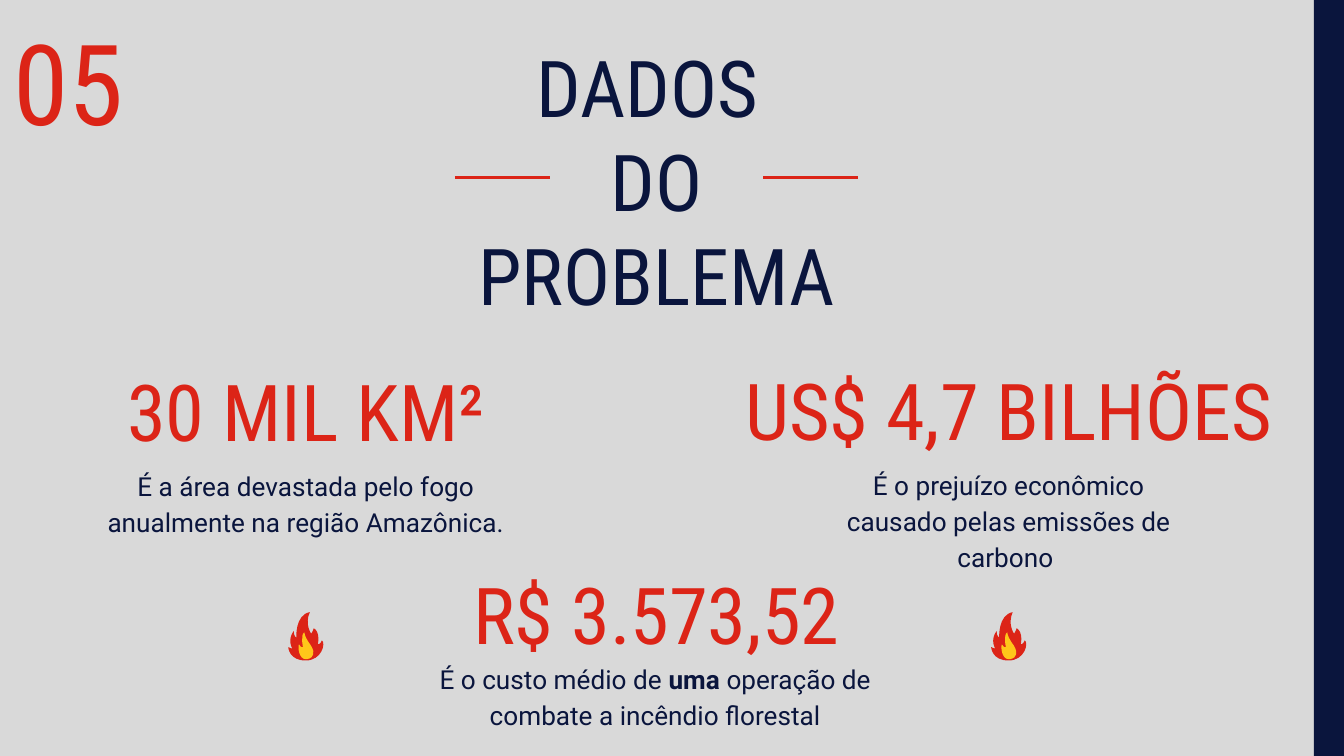
from lxml.etree import SubElement
from pptx import Presentation
from pptx.dml.color import RGBColor
from pptx.enum.shapes import MSO_CONNECTOR as Connector, MSO_SHAPE as Shape
from pptx.enum.text import MSO_ANCHOR as Anchor, PP_ALIGN as Align
from pptx.oxml.ns import qn
from pptx.util import Inches, Pt

COLUMNS, ROWS = 100, 56.25
CELL = Inches(10) // COLUMNS
PANEL_WIDTH = 97.75
RED, NAVY, GREY, YELLOW = "DC2417", "0A153D", "D9D9D9", "FFC61A"
HEADING, BODY = "Roboto Condensed", "Roboto"

FLAME_UNITS = 29, 36
OUTER_FLAME = (0, 0, 29, 36), (17, 0), [
    (6, 2, 7, 19, 7, 19), (7, 19, 5, 18, 5, 14), (0, 21, 4, 27, 4, 27),
    (4, 27, 2, 27, 1, 26), (1, 27, 2, 36, 14, 36), (26, 36, 29, 23, 26, 21),
    (25, 24, 23, 24, 23, 24), (23, 24, 25, 15, 20, 12),
    (19, 15, 18, 16, 18, 16), (18, 16, 13, 9, 17, 0)]
INNER_FLAME = (8, 15, 13, 20), (13, 15), [
    (10, 17, 12, 26, 12, 26), (12, 26, 12, 26, 11, 26), (11, 26, 10, 26, 9, 24),
    (8, 26, 9, 35, 14, 35), (15, 35, 15, 35, 15, 35),
    (21, 34, 20, 29, 19, 27), (18, 24, 14, 21, 13, 15)]


def cells(*counts):
    return [round(count * CELL) for count in counts]


def color(hex_code):
    return RGBColor.from_string(hex_code)


def paint(part, hex_code):
    part.shadow.inherit = False
    part.fill.solid()
    part.fill.fore_color.rgb = color(hex_code)
    part.line.fill.background()


def write(slide, box, paragraphs, font, size, hex_code, align=Align.CENTER, spacing=None):
    frame = slide.shapes.add_textbox(*cells(*box)).text_frame
    frame.word_wrap = True
    frame.vertical_anchor = Anchor.TOP
    frame.margin_left = frame.margin_right = Inches(0.1)
    frame.margin_top = frame.margin_bottom = Inches(0.1)
    for index, runs in enumerate(paragraphs):
        paragraph = frame.paragraphs[0] if index == 0 else frame.add_paragraph()
        paragraph.alignment = align
        if spacing:
            paragraph.line_spacing = spacing
            paragraph.space_after = Pt(16)
        for words, bold in runs:
            run = paragraph.add_run()
            run.text = words
            run.font.name, run.font.size, run.font.bold = font, Pt(size), bold
            run.font.color.rgb = color(hex_code)


def draw_band(slide, box, hex_code):
    paint(slide.shapes.add_shape(Shape.RECTANGLE, *cells(*box)), hex_code)


def draw_title(slide, box):
    left, top, width, height = box
    write(slide, box, [[("DADOS ", False)], [("DO PROBLEMA", False)]], HEADING, 42, NAVY)
    rule_length, rule_inset, rule_y = 7.05, 1.45, top + 11.3
    for start in (left + rule_inset, left + width - rule_inset - rule_length):
        rule = slide.shapes.add_connector(
            Connector.STRAIGHT, *cells(start, rule_y, start + rule_length, rule_y))
        rule.line.color.rgb = color(RED)
        rule.line.width = Pt(1.5)
        SubElement(rule._element.spPr, qn("a:effectLst"))


def draw_statistic(slide, box, figure, figure_height, caption, caption_box):
    left, top, width, height = box
    inset, drop, caption_width = caption_box
    write(slide, (left, top, width, figure_height), [[(figure, False)]], HEADING, 42, RED)
    write(slide, (left + inset, top + drop, caption_width, height - drop),
          [caption], BODY, 14, NAVY, spacing=1.15)


def add_curve(outline_path, command, points):
    segment = SubElement(outline_path, qn(f"a:{command}"))
    for x, y in points:
        SubElement(segment, qn("a:pt"), x=str(x), y=str(y))


def draw_flame(slide, box):
    left, top, width, height = box
    unit_x, unit_y = width / FLAME_UNITS[0], height / FLAME_UNITS[1]
    flame = slide.shapes.add_group_shape()
    for ((x, y, across, down), start, curves), hex_code in (
            (OUTER_FLAME, RED), (INNER_FLAME, YELLOW)):
        near = cells(left + x * unit_x, top + y * unit_y)
        far = cells(left + (x + across) * unit_x, top + (y + down) * unit_y)
        builder = flame.shapes.build_freeform(*near)
        builder.add_line_segments([far], close=True)
        tongue = builder.convert_to_shape()
        outline = next(tongue._element.iter(qn("a:path")))
        for segment in list(outline):
            outline.remove(segment)
        outline.set("w", str(across))
        outline.set("h", str(down))
        add_curve(outline, "moveTo", [(start[0] - x, start[1] - y)])
        for curve in curves:
            add_curve(outline, "cubicBezTo",
                      [(px - x, py - y) for px, py in zip(curve[::2], curve[1::2])])
        SubElement(outline, qn("a:close"))
        paint(tongue, hex_code)


def build_slide(deck):
    slide = deck.slides.add_slide(deck.slide_layouts[6])
    slide.background.fill.solid()
    slide.background.fill.fore_color.rgb = color(GREY)
    draw_band(slide, (PANEL_WIDTH, 0, COLUMNS - PANEL_WIDTH, ROWS), NAVY)
    draw_band(slide, (0, 0, PANEL_WIDTH, ROWS), GREY)

    statistics = [
        (0, 26, 17, "30 MIL KM²", 7.6,
         [("É a área devastada pelo fogo anualmente na região Amazônica.", False)],
         (6.9, 7.65, 31.7)),
        (26.1, 41.1, 16.3, "R$ 3.573,52", 6.9,
         [("É o custo médio de ", False), ("uma ", True),
          ("operação de combate a incêndio florestal", False)],
         (4.8, 6.9, 35.7)),
        (52.3, 25.95, 20.15, "US$ 4,7 BILHÕES", 6.9,
         [("É o prejuízo econômico causado pelas emissões de carbono ", False)],
         (8.2, 7.65, 29.1)),
    ]
    for left, top, height, *content in statistics:
        draw_statistic(slide, (left, top, 45.5, height), *content)

    draw_title(slide, (32.4, 1.9, 32.9, 29.2))
    for left in (21.35, 73.65):
        draw_flame(slide, (left, 45.55, 2.9, 3.6))
    write(slide, (0, 0, 13.5, 12.1), [[("05", False)]], HEADING, 60, RED, Align.LEFT)


def main():
    deck = Presentation()
    deck.slide_width, deck.slide_height = cells(COLUMNS, ROWS)
    build_slide(deck)
    deck.save("out.pptx")


if __name__ == "__main__":
    main()
